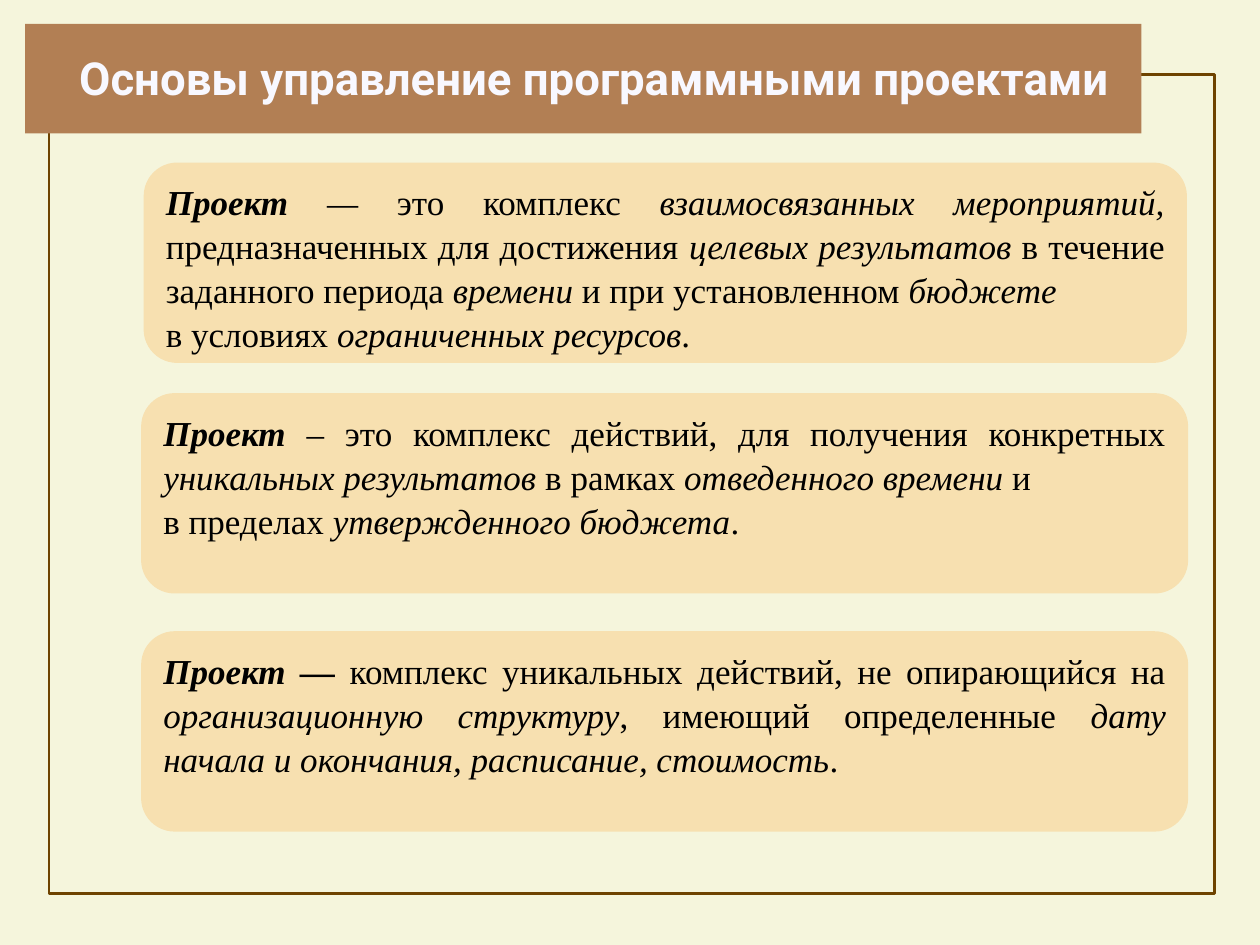
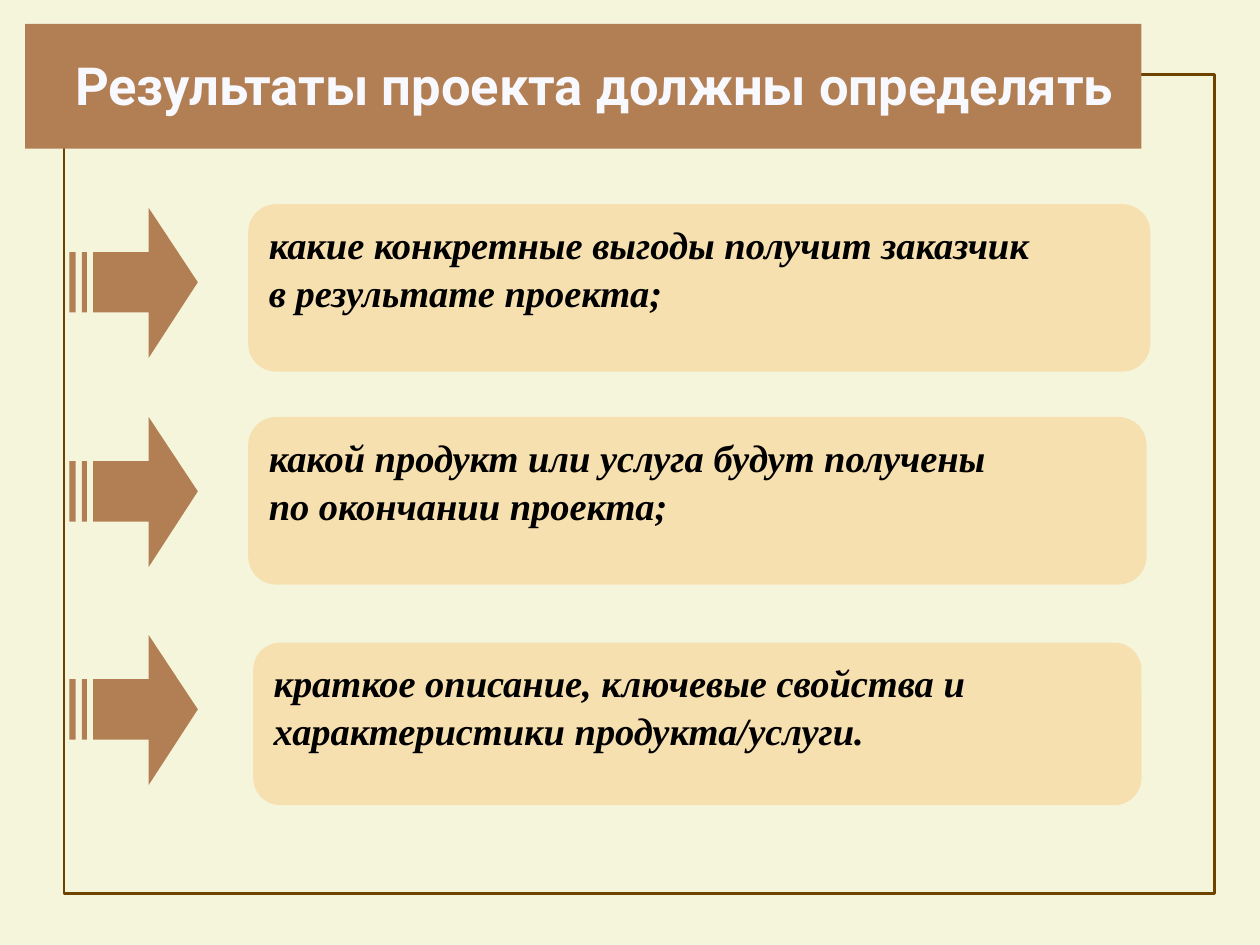
from pptx import Presentation
from pptx.dml.color import RGBColor
from pptx.enum import shapes, text
from pptx.util import Inches, Pt

CREAM = RGBColor(0xF5, 0xF5, 0xDC)
BROWN = RGBColor(0xB2, 0x7F, 0x54)
DARK_BROWN = RGBColor(0x6E, 0x43, 0x00)
SAND = RGBColor(0xF7, 0xE0, 0xB0)
GHOST_WHITE = RGBColor(0xF8, 0xF8, 0xFF)
BLACK = RGBColor(0, 0, 0)

TITLE_FONT = "Roboto"
BODY_FONT = "Times New Roman"
FRAME_RIGHT, FRAME_TOP, FRAME_HEIGHT = 9.64, 0.59, 6.5

ARROW_LEFT = 0.55
ARROW_HEAD = [(0.63, 0), (1.02, 0.59), (0.63, 1.19), (0.63, 0.83),
              (0.19, 0.83), (0.19, 0.35), (0.63, 0.35)]
ARROW_STRIPES = [[(left, 0.35), (left, 0.83), (right, 0.83), (right, 0.35)]
                 for left, right in ((0, 0.05), (0.1, 0.14))]

DEFINITIONS = [
    (1.14, 1.29, 8.28, [
        [("Проект ", "bi"), ("— ", "i"), ("это комплекс ", ""),
         ("взаимосвязанных мероприятий,", "i"),
         (" предназначенных для достижения ", ""),
         ("целевых результатов", "i"), (" в течение заданного периода", ""),
         (" времени", "i"), (" и при установленном", ""), (" бюджете", "i")],
        [("в условиях", ""), (" ограниченных ресурсов", "i"), (".", "")]]),
    (1.12, 3.12, 8.31, [
        [("Проект", "bi"), (" – ", "i"),
         ("это комплекс действий, для получения конкретных", ""),
         (" уникальных результатов ", "i"), ("в рамках ", ""),
         ("отведенного времени ", "i"), ("и", "")],
        [("в пределах ", ""), ("утвержденного бюджета", "i"), (".", "")]]),
    (1.12, 5.01, 8.31, [
        [("Проект —", "bi"),
         (" комплекс уникальных действий, не опирающийся на ", ""),
         ("организационную структуру", "i"), (", имеющий определенные ", ""),
         ("дату начала и окончания, расписание, стоимость", "i"), (".", "")]]),
]

RESULTS = [
    (1.97, 1.62, 7.16, 1.33, 1.65,
     ["какие конкретные выгоды получит заказчик", "в результате проекта;"]),
    (1.97, 3.31, 7.13, 1.33, 3.31,
     ["какой продукт или услуга будут получены", "по окончании проекта;"]),
    (2.01, 5.1, 7.05, 1.29, 5.04,
     ["краткое описание, ключевые свойства и характеристики продукта/услуги."]),
]


class ProjectDeck:
    def __init__(self):
        self.deck = Presentation()
        self.deck.slide_width = Inches(10)
        self.deck.slide_height = Inches(7.5)
        self.page = None

    def add_page(self, title, title_size, band_height, frame_left):
        self.page = self.deck.slides.add_slide(self.deck.slide_layouts[6])
        self.page.background.fill.solid()
        self.page.background.fill.fore_color.rgb = CREAM
        self.add_frame(frame_left)
        self.add_title(title, title_size, band_height)

    def add_box(self, kind, left, top, width, height):
        box = self.page.shapes.add_shape(
            kind, Inches(left), Inches(top), Inches(width), Inches(height))
        box.shadow.inherit = False
        return box

    def paint(self, box, color):
        box.fill.solid()
        box.fill.fore_color.rgb = color
        box.line.fill.background()

    def add_frame(self, left):
        frame = self.add_box(shapes.MSO_SHAPE.RECTANGLE, left, FRAME_TOP,
                             FRAME_RIGHT - left, FRAME_HEIGHT)
        frame.fill.background()
        frame.line.color.rgb = DARK_BROWN
        frame.line.width = Pt(1.42)

    def add_title(self, title, size, height):
        band = self.add_box(shapes.MSO_SHAPE.RECTANGLE, 0.2, 0.19, 8.86, height)
        self.paint(band, BROWN)
        frame = band.text_frame
        frame.word_wrap = True
        frame.vertical_anchor = text.MSO_ANCHOR.MIDDLE
        frame.margin_left = Inches(0.18)
        frame.margin_top = Inches(0.01)
        frame.margin_right = frame.margin_bottom = 0
        frame.text = title
        para = frame.paragraphs[0]
        para.alignment = text.PP_ALIGN.CENTER
        para.line_spacing = 0.97
        self.style(para.runs[0], TITLE_FONT, size, GHOST_WHITE, "b")

    def style(self, span, font, size, color, marks):
        span.font.name = font
        span.font.size = Pt(size)
        span.font.color.rgb = color
        span.font.bold = "b" in marks
        span.font.italic = "i" in marks

    def add_card(self, left, top, width, height, paragraphs, size, alignment):
        card = self.add_box(shapes.MSO_SHAPE.ROUNDED_RECTANGLE,
                            left, top, width, height)
        card.adjustments[0] = 0.167
        self.paint(card, SAND)
        frame = card.text_frame
        frame.word_wrap = True
        frame.vertical_anchor = text.MSO_ANCHOR.TOP
        for index, spans in enumerate(paragraphs):
            para = frame.add_paragraph() if index else frame.paragraphs[0]
            para.alignment = alignment
            para.line_spacing = 1.05
            for words, marks in spans:
                span = para.add_run()
                span.text = words
                self.style(span, BODY_FONT, size, BLACK, marks)

    def add_striped_arrow(self, top):
        outlines = [[(Inches(ARROW_LEFT + x), Inches(top + y)) for x, y in outline]
                    for outline in (ARROW_HEAD, *ARROW_STRIPES)]
        builder = self.page.shapes.build_freeform(*outlines[0][0])
        builder.add_line_segments(outlines[0][1:], close=True)
        for stripe in outlines[1:]:
            builder.move_to(*stripe[0])
            builder.add_line_segments(stripe[1:], close=True)
        arrow = builder.convert_to_shape()
        arrow.shadow.inherit = False
        self.paint(arrow, BROWN)


def main():
    project = ProjectDeck()

    project.add_page("Основы управление программными проектами", 26, 0.87, 0.39)
    for left, top, width, paragraphs in DEFINITIONS:
        project.add_card(left, top, width, 1.59, paragraphs, 20,
                         text.PP_ALIGN.JUSTIFY)

    project.add_page("Результаты проекта должны определять", 30, 0.99, 0.51)
    for left, top, width, height, arrow_top, lines in RESULTS:
        project.add_card(left, top, width, height,
                         [[(line, "bi")] for line in lines], 22,
                         text.PP_ALIGN.LEFT)
        project.add_striped_arrow(arrow_top)

    project.deck.save("out.pptx")


if __name__ == "__main__":
    main()
